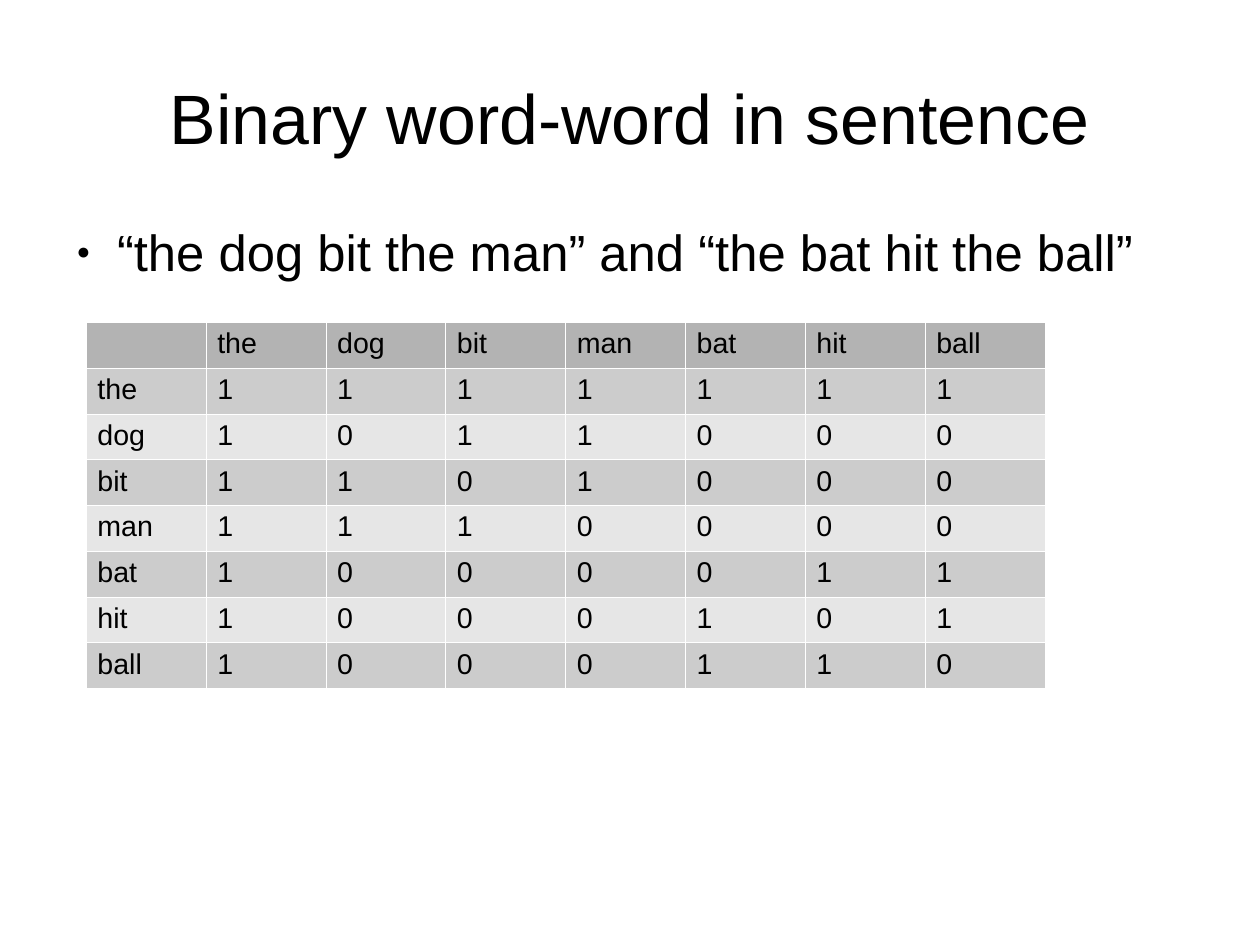
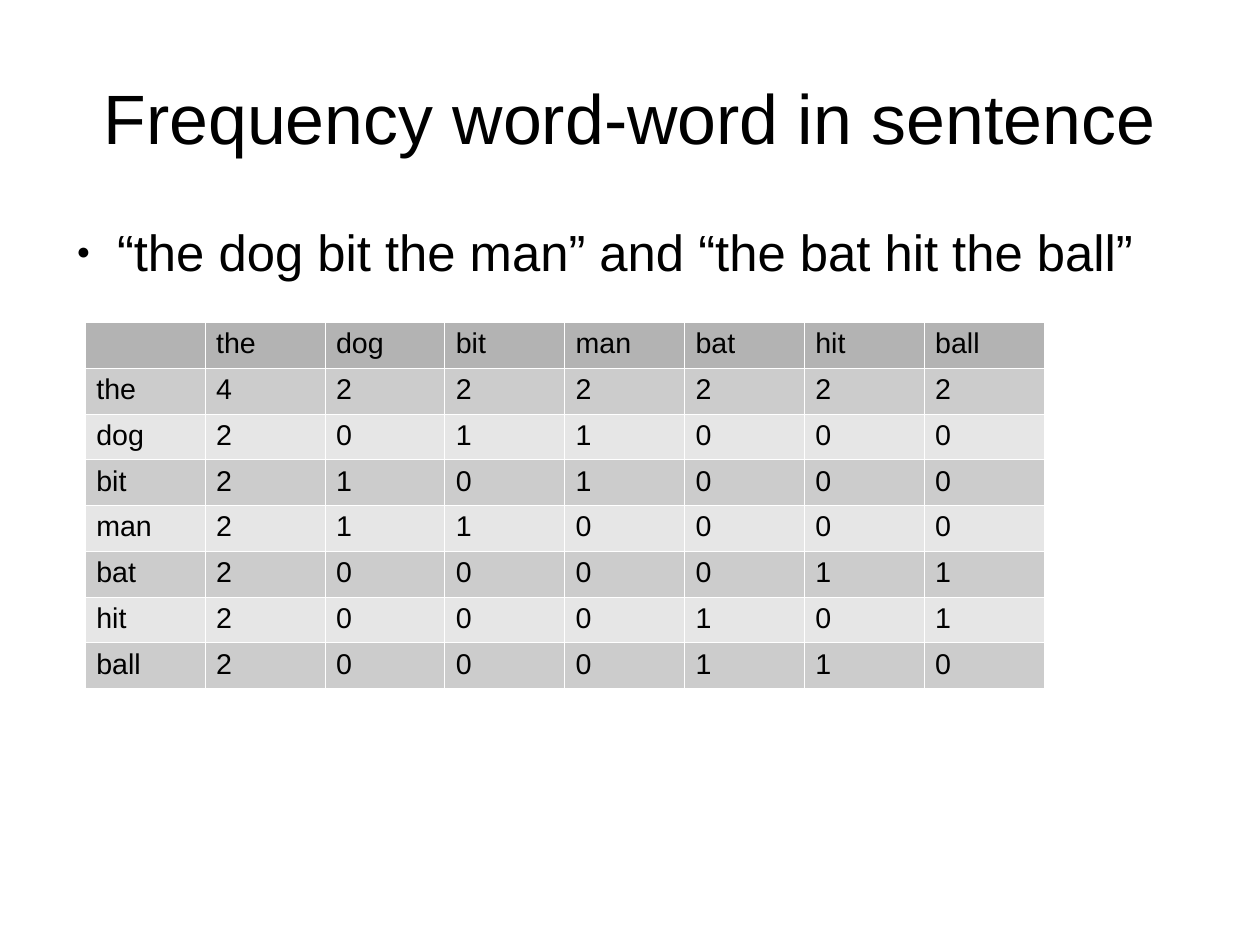
from lxml import etree
from pptx import Presentation
from pptx.dml.color import RGBColor
from pptx.enum.text import MSO_ANCHOR, PP_ALIGN
from pptx.oxml.ns import qn
from pptx.util import Pt

CENTER = PP_ALIGN.CENTER
LEFT = PP_ALIGN.LEFT
MIDDLE = MSO_ANCHOR.MIDDLE
TOP = MSO_ANCHOR.TOP

COLORS = {
    "text": "000000",
    "header": "B3B3B3",
    "odd": "CCCCCC",
    "even": "E6E6E6",
    "border": "FFFFFF",
}
FONT = "Arial"
SENTENCES = "“the dog bit the man” and “the bat hit the ball”"
WORDS = ["the", "dog", "bit", "man", "bat", "hit", "ball"]

SLIDES = [
    {
        "title": "Binary word-word in sentence",
        "table_left": 54.2,
        "counts": [
            [1, 1, 1, 1, 1, 1, 1],
            [1, 0, 1, 1, 0, 0, 0],
            [1, 1, 0, 1, 0, 0, 0],
            [1, 1, 1, 0, 0, 0, 0],
            [1, 0, 0, 0, 0, 1, 1],
            [1, 0, 0, 0, 1, 0, 1],
            [1, 0, 0, 0, 1, 1, 0],
        ],
    },
    {
        "title": "Frequency word-word in sentence",
        "table_left": 53.5,
        "counts": [
            [4, 2, 2, 2, 2, 2, 2],
            [2, 0, 1, 1, 0, 0, 0],
            [2, 1, 0, 1, 0, 0, 0],
            [2, 1, 1, 0, 0, 0, 0],
            [2, 0, 0, 0, 0, 1, 1],
            [2, 0, 0, 0, 1, 0, 1],
            [2, 0, 0, 0, 1, 1, 0],
        ],
    },
]

SLIDE_SIZE = (793.7, 595.3)
TITLE_BOX = (39.7, 23.75, 714.3, 99.4)
BODY_BOX = (39.7, 139.3, 714.3, 345.2)
TABLE_TOP = 203
COLUMN_WIDTH = 75.5
ROW_HEIGHT = 27.63
BORDER_WIDTH = 0.06


def style_font(font, size):
    font.name = FONT
    font.size = Pt(size)
    font.color.rgb = RGBColor.from_string(COLORS["text"])


def add_text(slide, box, text, size, align=LEFT, anchor=TOP):
    frame = slide.shapes.add_textbox(*map(Pt, box)).text_frame
    frame.word_wrap = True
    frame.vertical_anchor = anchor
    frame.margin_left = frame.margin_right = 0
    frame.margin_top = frame.margin_bottom = 0
    frame.text = text
    paragraph = frame.paragraphs[0]
    paragraph.alignment = align
    style_font(paragraph.runs[0].font, size)
    return paragraph


def add_bullet(paragraph):
    paragraph.space_after = Pt(14.2)
    props = paragraph._p.get_or_add_pPr()
    props.set("marL", str(Pt(34)))
    props.set("indent", str(Pt(-25.5)))
    color = etree.SubElement(props, qn("a:buClr"))
    etree.SubElement(color, qn("a:srgbClr"), val=COLORS["text"])
    etree.SubElement(props, qn("a:buSzPct"), val="45000")
    etree.SubElement(props, qn("a:buFont"), typeface=FONT)
    etree.SubElement(props, qn("a:buChar"), char="●")


def style_cell(cell, text, color):
    cell.text = text
    for run in cell.text_frame.paragraphs[0].runs:
        style_font(run.font, 18)
    props = cell._tc.get_or_add_tcPr()
    for side in ("lnL", "lnR", "lnT", "lnB"):
        line = etree.SubElement(props, qn(f"a:{side}"), w=str(Pt(BORDER_WIDTH)))
        fill = etree.SubElement(line, qn("a:solidFill"))
        etree.SubElement(fill, qn("a:srgbClr"), val=COLORS["border"])
    cell.fill.solid()
    cell.fill.fore_color.rgb = RGBColor.from_string(color)


def add_matrix(slide, left, counts):
    rows = [["", *WORDS]] + [[word, *map(str, row)] for word, row in zip(WORDS, counts)]
    size = len(rows)
    table = slide.shapes.add_table(
        size, size, Pt(left), Pt(TABLE_TOP), Pt(size * COLUMN_WIDTH), Pt(size * ROW_HEIGHT)
    ).table
    for column in table.columns:
        column.width = Pt(COLUMN_WIDTH)
    for r, row in enumerate(rows):
        table.rows[r].height = Pt(ROW_HEIGHT)
        band = "header" if r == 0 else "odd" if r % 2 else "even"
        for c, text in enumerate(row):
            style_cell(table.cell(r, c), text, COLORS[band])


def main():
    deck = Presentation()
    deck.slide_width, deck.slide_height = map(Pt, SLIDE_SIZE)
    for content in SLIDES:
        slide = deck.slides.add_slide(deck.slide_layouts[6])
        add_text(slide, TITLE_BOX, content["title"], 44, CENTER, MIDDLE)
        add_bullet(add_text(slide, BODY_BOX, SENTENCES, 32))
        add_matrix(slide, content["table_left"], content["counts"])
    deck.save("out.pptx")


if __name__ == "__main__":
    main()
